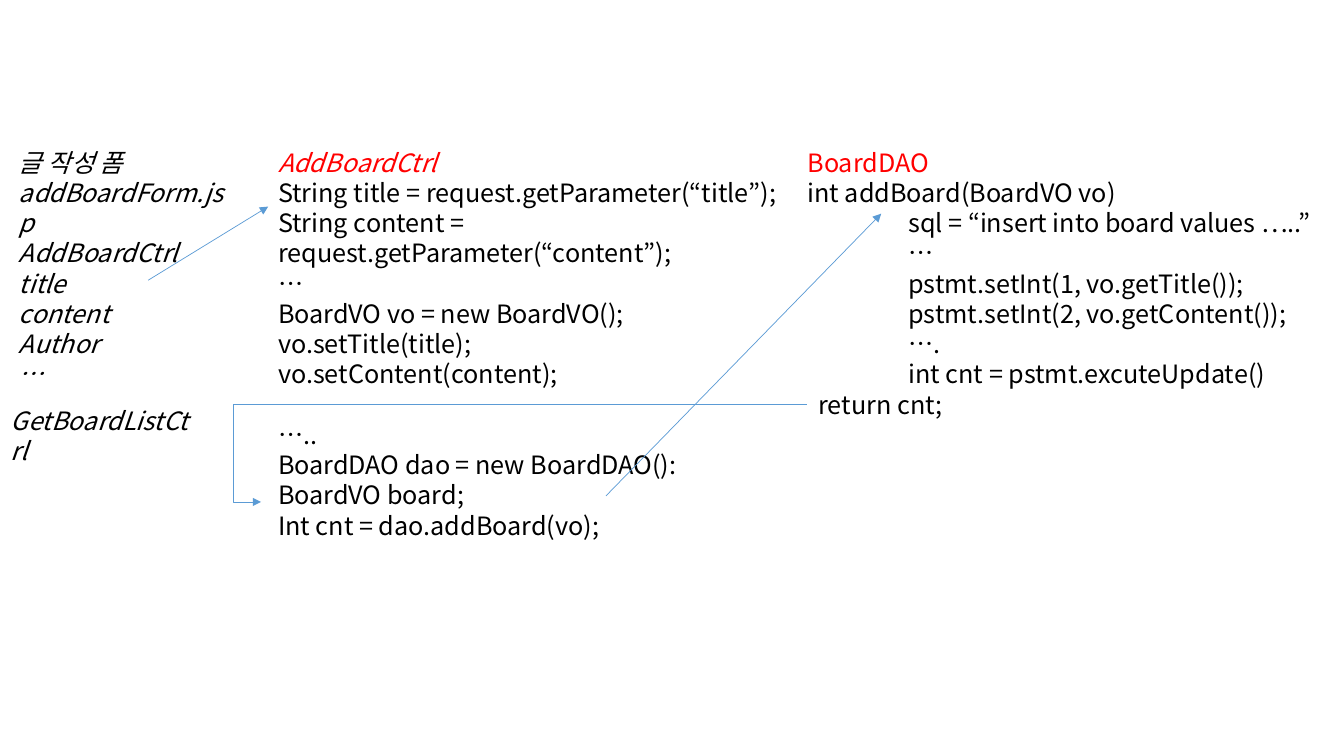
from pptx import Presentation
from pptx.dml.color import RGBColor
from pptx.enum.shapes import MSO_CONNECTOR as Link
from pptx.enum.text import PP_ALIGN
from pptx.oxml.ns import qn
from pptx.util import Inches, Pt
from lxml.etree import SubElement

BLACK = RGBColor(0x00, 0x00, 0x00)
RED = RGBColor(0xFF, 0x00, 0x00)
BLUE = RGBColor(0x5B, 0x9B, 0xD5)
FONT = "Noto Sans CJK KR"
LINE_PITCH = Pt(21.6)

FORM_LINES = ["글 작성 폼", "addBoardForm.jsp", "AddBoardCtrl", "title",
              "content", "Author", "…"]
REQUEST_LINES = ["String title = request.getParameter(“title”);",
                 "String content = request.getParameter(“content”);",
                 "…", "BoardVO vo = new BoardVO();",
                 "vo.setTitle(title);", "vo.setContent(content);"]
DAO_CALL_LINES = ["BoardDAO dao = new BoardDAO():", "BoardVO board;",
                  "Int cnt = dao.addBoard(vo);"]
SQL_LINES = ["sql = “insert into board values …..”", "…",
             "pstmt.setInt(1, vo.getTitle());",
             "pstmt.setInt(2, vo.getContent());", "….",
             "int cnt = pstmt.excuteUpdate()"]


def add_column(slide, left, top, width, height):
    """Add an empty wrapping text box and return its text frame."""
    frame = slide.shapes.add_textbox(
        Inches(left), Inches(top), Inches(width), Inches(height)).text_frame
    frame.word_wrap = True
    return frame


def write(frame, text, color=BLACK, italic=False, indent=0, gap=0):
    """Write one paragraph, filling the first one if it is still empty."""
    first = frame.paragraphs[0]
    para = frame.add_paragraph() if first.runs else first
    para.alignment = PP_ALIGN.LEFT
    para.line_spacing = LINE_PITCH
    para.space_before = gap
    if indent:
        props = para._p.get_or_add_pPr()
        props.set("marL", str(Inches(indent)))
        props.set("indent", "0")
    run = para.add_run()
    run.text = text
    font = run.font
    font.name, font.size, font.italic = FONT, Pt(18), italic
    font.color.rgb = color
    SubElement(font._element, qn("a:ea")).set("typeface", FONT)


def add_arrow(slide, start, end, kind=Link.STRAIGHT, bend=None):
    """Add a thin arrow; bend is the elbow position as a share of the width."""
    arrow = slide.shapes.add_connector(
        kind, *(Inches(value) for value in (*start, *end)))
    arrow.line.color.rgb = BLUE
    arrow.line.width = Pt(0.5)
    SubElement(arrow.line._get_or_add_ln(), qn("a:tailEnd")).set("type", "triangle")
    props = arrow._element.spPr
    SubElement(props, qn("a:effectLst"))
    if bend is not None:
        guide = SubElement(props.find(qn("a:prstGeom")).find(qn("a:avLst")),
                           qn("a:gd"))
        guide.set("name", "adj1")
        guide.set("fmla", f"val {round(bend * 100000)}")


def main():
    deck = Presentation()
    deck.slide_width, deck.slide_height = Inches(13.33), Inches(7.5)
    slide = deck.slides.add_slide(deck.slide_layouts[6])

    # Input form
    form = add_column(slide, 0.09, 1.41, 2.27, 2.22)
    for line in FORM_LINES:
        write(form, line, italic=True)

    # Controller code
    controller = add_column(slide, 2.66, 1.41, 5.87, 3.74)
    write(controller, "AddBoardCtrl", color=RED, italic=True)
    for line in REQUEST_LINES:
        write(controller, line)
    write(controller, "…..", gap=LINE_PITCH)
    for line in DAO_CALL_LINES:
        write(controller, line)

    # DAO code
    dao = add_column(slide, 7.91, 1.41, 5.25, 2.83)
    write(dao, "BoardDAO", color=RED)
    write(dao, "int addBoard(BoardVO vo)")
    for line in SQL_LINES:
        write(dao, line, indent=1)
    write(dao, "return cnt;", indent=0.11)

    # Follow-up controller
    board_list = add_column(slide, 0.01, 3.97, 2.04, 0.4)
    write(board_list, "GetBoardListCtrl", italic=True)

    # Form to controller, controller to DAO, and the returned count
    add_arrow(slide, (1.47, 2.78), (2.66, 2.05))
    add_arrow(slide, (6.01, 4.92), (8.74, 2.12))
    add_arrow(slide, (8, 4.01), (2.59, 4.98), kind=Link.ELBOW, bend=1.05)

    deck.save("out.pptx")


main()
